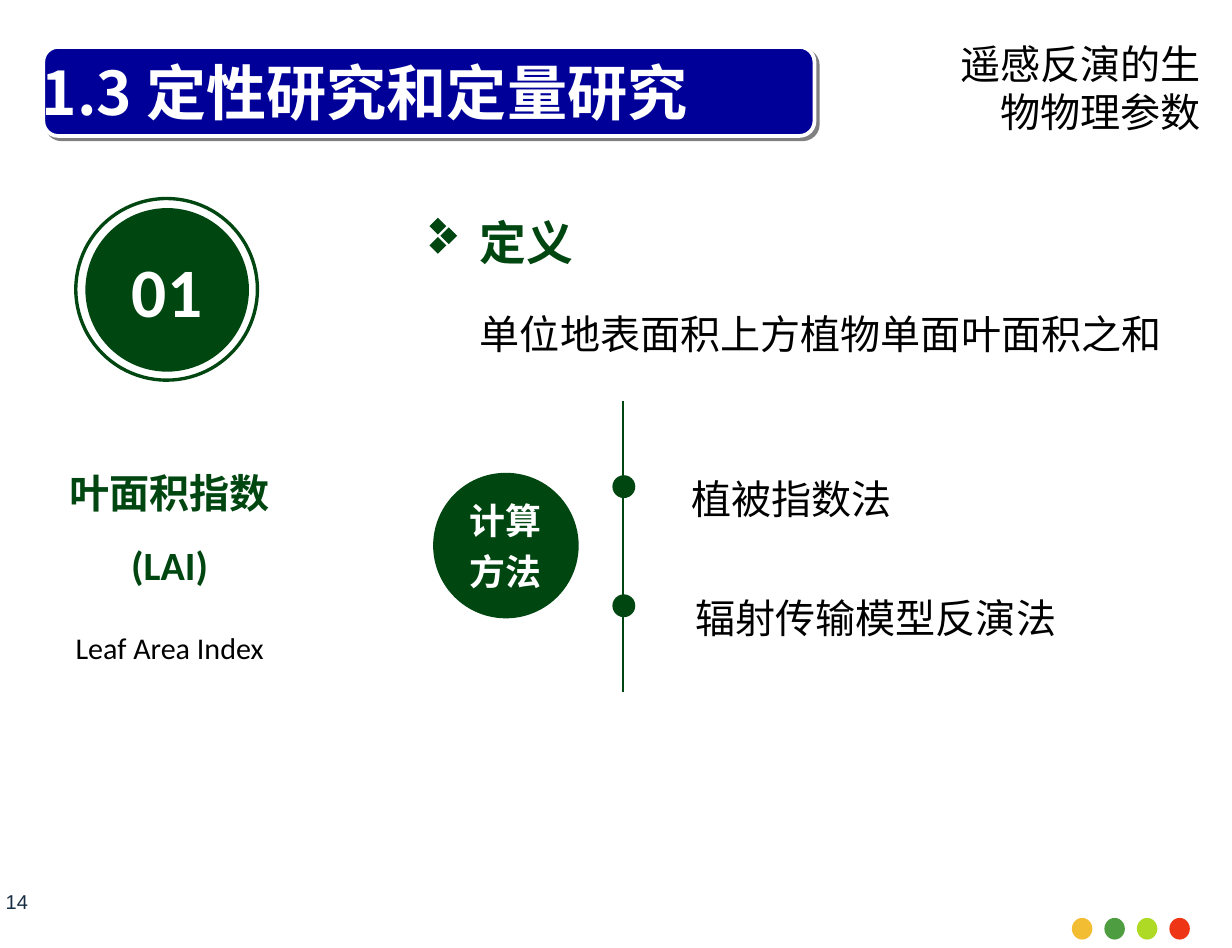
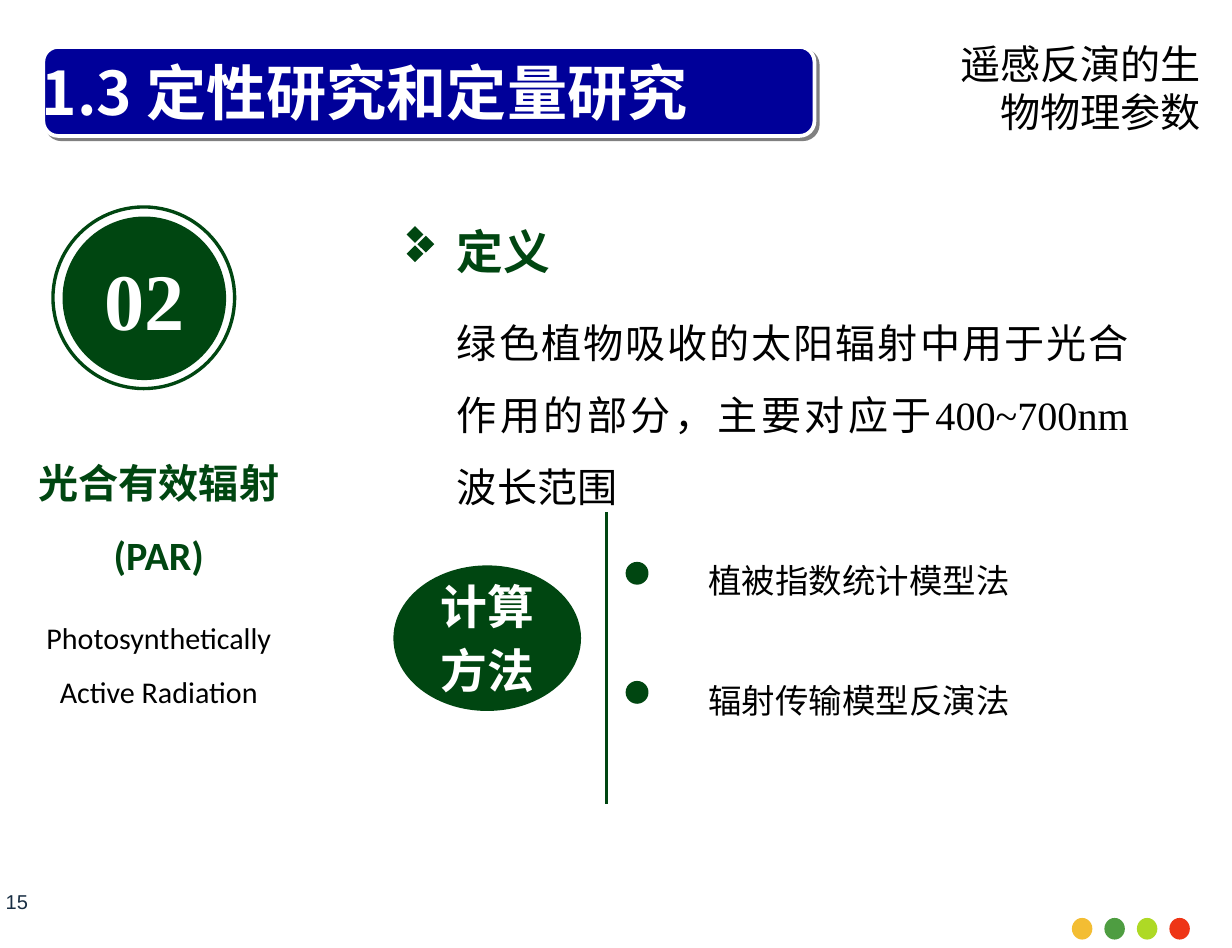
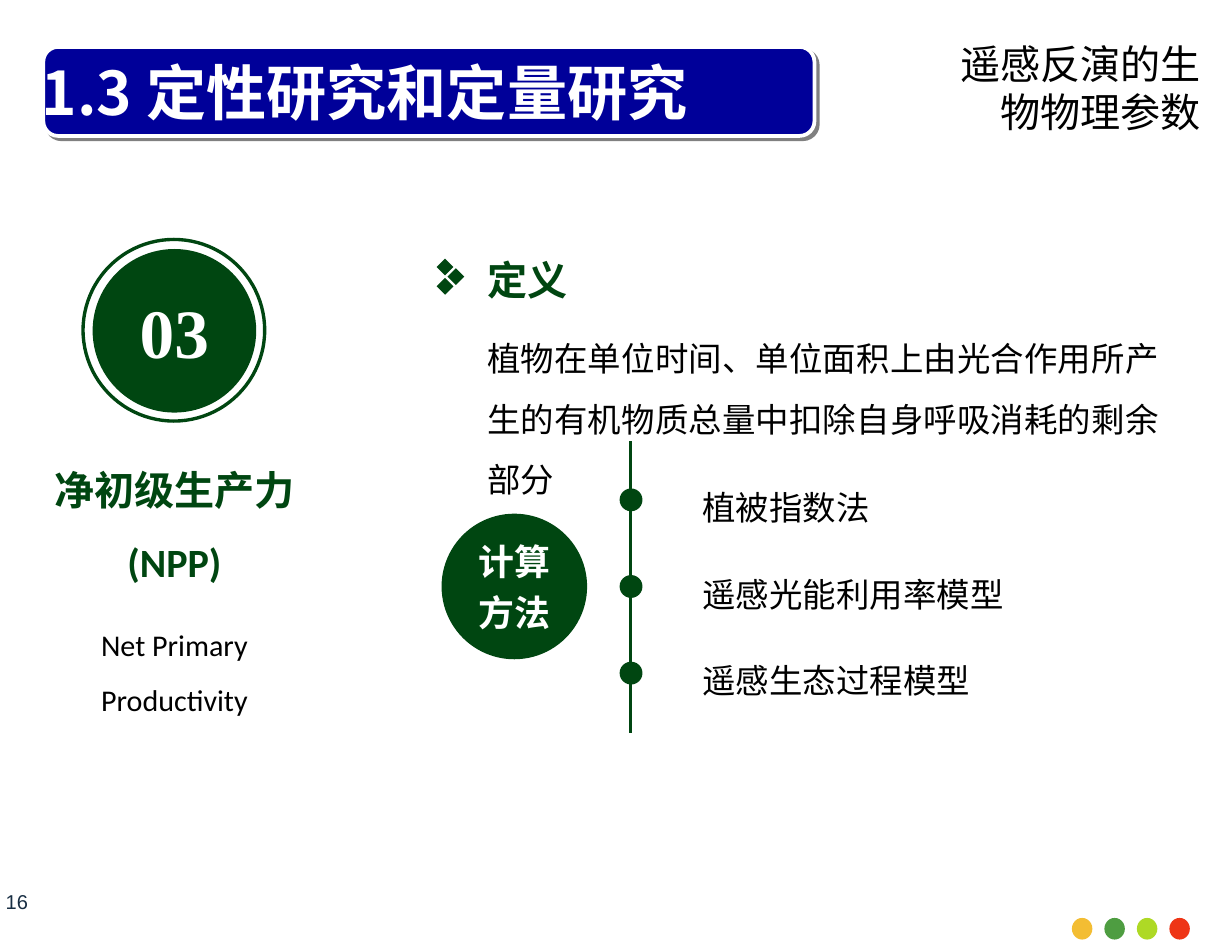
"""Builds three slides on vegetation parameters retrieved by remote sensing."""
from lxml import etree
from pptx import Presentation
from pptx.dml.color import RGBColor
from pptx.enum.shapes import MSO_CONNECTOR, MSO_SHAPE
from pptx.enum.text import MSO_ANCHOR, PP_ALIGN
from pptx.oxml.ns import qn
from pptx.util import Pt

PX = 9144
OVAL = MSO_SHAPE.OVAL
ROUND = MSO_SHAPE.ROUNDED_RECTANGLE
LINE = MSO_CONNECTOR.STRAIGHT
MID = MSO_ANCHOR.MIDDLE
LEFT, RIGHT = PP_ALIGN.LEFT, PP_ALIGN.RIGHT
CENTER, JUST = PP_ALIGN.CENTER, PP_ALIGN.JUSTIFY
GREEN = RGBColor(0x00, 0x46, 0x11)
BLUE = RGBColor(0x00, 0x00, 0x99)
WHITE = RGBColor(0xFF, 0xFF, 0xFF)
BLACK = RGBColor(0x00, 0x00, 0x00)
NAVY = RGBColor(0x18, 0x2E, 0x43)
DOTS = [RGBColor(0xF3, 0xBD, 0x33), RGBColor(0x4E, 0x9D, 0x41),
        RGBColor(0xAE, 0xD9, 0x25), RGBColor(0xEE, 0x35, 0x16)]
HAN, SANS, SERIF, ARIAL = "Noto Sans CJK SC", "Calibri", "Times New Roman", "Arial"

PAGES = [
    dict(num="01", badge=(71, 173), face=SANS, size=41.5,
         name=("叶面积指数", "(LAI)", "Leaf Area Index"), side=(25, 364),
         define="单位地表面积上方植物单面叶面积之和", body=(389, 604), head=28, text=24,
         oval=(360, 393, 121), way=21.5, rule=(518, 333), dot=509,
         items=[("植被指数法", 565, 395), ("辐射传输模型反演法", 568, 494)], item=24),
    dict(num="02", badge=(52, 180), face=SERIF, size=48,
         name=("光合有效辐射", "(PAR)", "Photosynthetically Active Radiation"), side=(16, 356),
         define="绿色植物吸收的太阳辐射中用于光合作用的部分，主要对应于400~700nm波长范围",
         body=(370, 578), head=28, text=24,
         oval=(327, 470, 156), way=28, rule=(504, 426), dot=520,
         items=[("植被指数统计模型法", 579, 467), ("辐射传输模型反演法", 579, 566)], item=20),
    dict(num="03", badge=(77, 207), face=SERIF, size=41.5,
         name=("净初级生产力", "(NPP)", "Net Primary Productivity"), side=(29, 362),
         define="植物在单位时间、单位面积上由光合作用所产生的有机物质总量中扣除自身呼吸消耗的剩余部分",
         body=(395, 578), head=24, text=20,
         oval=(367, 427, 121), way=21.5, rule=(524, 367), dot=515,
         items=[("植被指数法", 574, 406), ("遥感光能利用率模型", 574, 478),
                ("遥感生态过程模型", 574, 550)], item=20),
]


def write(shape, text, size=24, font=HAN, color=BLACK, bold=False,
          align=LEFT, space=None, after=0):
    frame = shape.text_frame
    para = frame.paragraphs[0] if not frame.text else frame.add_paragraph()
    para.alignment = align
    para.space_after = Pt(after)
    if space:
        para.line_spacing = space
    run = para.add_run()
    run.text = text
    run.font.size = Pt(size)
    run.font.bold = bold
    run.font.color.rgb = color
    run.font.name = font
    etree.SubElement(run._r.get_or_add_rPr(), qn("a:ea"), typeface=HAN)


def place(slide, box, kind=None, fill=None, line=None, width=1):
    box = [n * PX for n in box]
    if kind is None:
        shape = slide.shapes.add_textbox(*box)
        shape.text_frame.word_wrap = True
        return shape
    shape = slide.shapes.add_shape(kind, *box)
    shape.shadow.inherit = False
    if fill is None:
        shape.fill.background()
    else:
        shape.fill.solid()
        shape.fill.fore_color.rgb = fill
    if line is None:
        shape.line.fill.background()
    else:
        shape.line.color.rgb = line
        shape.line.width = Pt(width)
    return shape


deck = Presentation()
deck.slide_width, deck.slide_height = 1024 * PX, 788 * PX

for page, data in enumerate(PAGES, 14):
    slide = deck.slides.add_slide(deck.slide_layouts[6])

    band = place(slide, (36, 39, 641, 74), ROUND, BLUE, WHITE, 2.25)
    glow = etree.SubElement(band._element.spPr.find(qn("a:effectLst")), qn("a:outerShdw"),
                            dist=str(Pt(2.8)), dir="2700000", algn="ctr", rotWithShape="0")
    etree.SubElement(glow, qn("a:srgbClr"), val="808080")
    for i, color in enumerate(DOTS):
        place(slide, (891 + 27 * i, 763, 17, 18), OVAL, color)
    foot = place(slide, (0, 738, 28, 22))
    frame = foot.text_frame
    frame.margin_left = frame.margin_right = frame.margin_top = frame.margin_bottom = 0
    frame.vertical_anchor = MID
    write(foot, str(page), size=12, font=ARIAL, color=NAVY, align=CENTER)
    title = place(slide, (25, 36, 697, 80))
    title.text_frame.vertical_anchor = MID
    write(title, "1.3 定性研究和定量研究", size=36, color=WHITE, bold=True)
    topic = place(slide, (787, 28, 221, 91))
    write(topic, "遥感反演的生物物理参数", font=SANS, align=RIGHT)

    x, y = data["badge"]
    badge = place(slide, (x, y, 136, 136), OVAL, GREEN)
    write(badge, data["num"], size=data["size"], font=data["face"], color=WHITE,
          bold=True, align=CENTER)
    place(slide, (x - 8, y - 8, 151, 151), OVAL, line=GREEN, width=2)

    side = place(slide, (*data["side"], 232, 259))
    name, short, full = data["name"]
    write(side, name, font=SANS, color=GREEN, bold=True, align=CENTER, space=1.5)
    write(side, short, font=SANS, color=GREEN, bold=True, align=CENTER, space=1.5, after=13.8)
    write(side, full, size=18, font=SANS, align=CENTER, space=1.5)

    x, wide = data["body"]
    body = place(slide, (x, y, wide, 155))
    write(body, "定义", size=data["head"], color=GREEN, bold=True, align=JUST, after=9.2)
    write(body, data["define"], size=data["text"], font=SERIF, align=JUST, space=1.5)

    pen = None
    for dx, dy in ((8, 24), (17, 16), (8, 8)):
        a, b = x - 33 + dx, y + 7 + dy
        if pen is None:
            pen = slide.shapes.build_freeform(a, b - 7, scale=PX)
        else:
            pen.move_to(a, b - 7)
        pen.add_line_segments([(a + 7, b), (a, b + 7), (a - 7, b)], close=True)
    mark = pen.convert_to_shape()
    mark.shadow.inherit = False
    mark.fill.solid()
    mark.fill.fore_color.rgb = GREEN
    mark.line.fill.background()

    oval = place(slide, (*data["oval"], 121), OVAL, GREEN)
    for word in ("计算", "方法"):
        write(oval, word, size=data["way"], font=ARIAL, color=WHITE, bold=True,
              align=CENTER, after=4.6)

    x, y = data["rule"]
    rule = slide.shapes.add_connector(LINE, x * PX, y * PX, x * PX, (y + 242) * PX)
    rule.line.color.rgb = GREEN
    rule.line.width = Pt(1.5)
    etree.SubElement(rule._element.spPr, qn("a:effectLst"))
    for text, x, y in data["items"]:
        place(slide, (data["dot"], y, 19, 19), OVAL, GREEN)
        write(place(slide, (x, y - 6, 322, 31)), text, size=data["item"])

deck.save("out.pptx")
